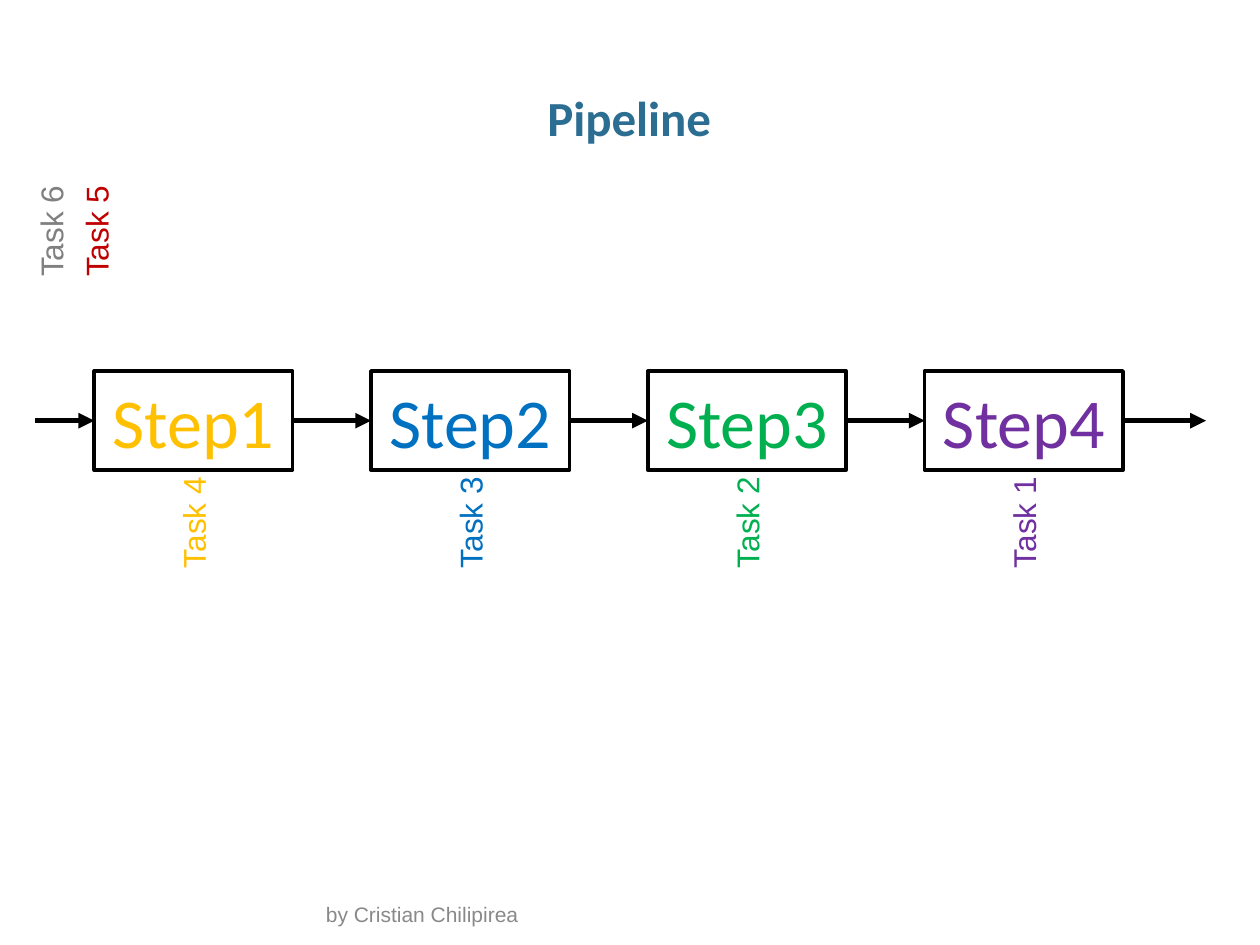
from dataclasses import dataclass

from lxml import etree
from pptx import Presentation
from pptx.dml.color import RGBColor
from pptx.enum.shapes import MSO_CONNECTOR, MSO_SHAPE
from pptx.enum.text import MSO_ANCHOR, MSO_AUTO_SIZE, PP_ALIGN
from pptx.oxml.ns import qn
from pptx.shapes.autoshape import Shape
from pptx.slide import Slide
from pptx.util import Cm, Pt

RECT = MSO_SHAPE.RECTANGLE
LINE = MSO_CONNECTOR.STRAIGHT
MIDDLE, BOTTOM, TOP = MSO_ANCHOR.MIDDLE, MSO_ANCHOR.BOTTOM, MSO_ANCHOR.TOP
LEFT, CENTER = PP_ALIGN.LEFT, PP_ALIGN.CENTER
GROW = MSO_AUTO_SIZE.SHAPE_TO_FIT_TEXT

BLACK = RGBColor(0x00, 0x00, 0x00)
TEAL = RGBColor(0x2C, 0x6D, 0x92)
SILVER = RGBColor(0x89, 0x89, 0x89)
GOLD = RGBColor(0xFF, 0xC0, 0x00)
BLUE = RGBColor(0x00, 0x70, 0xC0)
GREEN = RGBColor(0x00, 0xB0, 0x50)
PURPLE = RGBColor(0x70, 0x30, 0xA0)
RED = RGBColor(0xC0, 0x00, 0x00)
GRAY = RGBColor(0x80, 0x80, 0x80)

STEP_X, STEP_Y, STEP_W, STEP_H = 1.9, 7.48, 4.0, 2.0
PITCH = 5.58
FLOW_Y = STEP_Y + STEP_H / 2
FLOW_START, FLOW_END = 0.71, 24.31
TASK_W, TASK_H = 2.36, 1.02
TASK_Y, QUEUE_Y = 10.52, 4.65


@dataclass(frozen=True)
class Step:
    name: str
    task: str
    color: RGBColor


@dataclass(frozen=True)
class Wait:
    task: str
    x: float
    color: RGBColor


STEPS = (
    Step("Step1", "Task 4", GOLD),
    Step("Step2", "Task 3", BLUE),
    Step("Step3", "Task 2", GREEN),
    Step("Step4", "Task 1", PURPLE),
)
QUEUE = (Wait("Task 5", 1.94, RED), Wait("Task 6", 1.03, GRAY))


def write(shape: Shape, text: str, face: str, size: int, color: RGBColor,
          align: PP_ALIGN = LEFT, anchor: MSO_ANCHOR = TOP,
          wrap: bool = True, bold: bool = False) -> None:
    frame = shape.text_frame
    frame.word_wrap = wrap
    frame.vertical_anchor = anchor
    line = frame.paragraphs[0]
    line.text = text
    line.alignment = align
    font = line.font
    font.name, font.size, font.bold = face, Pt(size), bold
    font.color.rgb = color


def add_step(slide: Slide, step: Step, x: float) -> None:
    box = slide.shapes.add_shape(RECT, Cm(x), Cm(STEP_Y), Cm(STEP_W), Cm(STEP_H))
    box.shadow.inherit = False
    box.fill.background()
    box.line.color.rgb = BLACK
    box.line.width = Pt(2)
    write(box, step.name, "Calibri", 40, step.color, CENTER, MIDDLE)


def add_task(slide: Slide, text: str, x: float, y: float, color: RGBColor) -> None:
    box = slide.shapes.add_textbox(
        Cm(x - TASK_W / 2), Cm(y - TASK_H / 2), Cm(TASK_W), Cm(TASK_H))
    box.rotation = 270
    write(box, text, "Arial", 18, color, wrap=False)
    box.text_frame.auto_size = GROW


def add_arrow(slide: Slide, start: float, end: float) -> None:
    arrow = slide.shapes.add_connector(
        LINE, Cm(start), Cm(FLOW_Y), Cm(end), Cm(FLOW_Y))
    arrow.line.color.rgb = BLACK
    arrow.line.width = Pt(3)
    etree.SubElement(arrow.line._get_or_add_ln(), qn("a:tailEnd"), type="triangle")
    etree.SubElement(arrow._element.spPr, qn("a:effectLst"))


def main() -> None:
    deck = Presentation()
    deck.slide_width, deck.slide_height = Cm(25.4), Cm(19.05)
    slide = deck.slides.add_slide(deck.slide_layouts[6])

    foot = slide.shapes.add_textbox(Cm(6.32), Cm(18.19), Cm(12.75), Cm(0.61))
    write(foot, "by Cristian Chilipirea", "Arial", 12, SILVER, anchor=BOTTOM)

    title = slide.shapes.add_textbox(Cm(0.86), Cm(1.73), Cm(23.65), Cm(1.27))
    write(title, "Pipeline", "Calibri", 28, TEAL, CENTER, bold=True)
    frame = title.text_frame
    frame.margin_left = frame.margin_right = 0
    frame.paragraphs[0].line_spacing = 0.95

    lefts = [STEP_X + i * PITCH for i in range(len(STEPS))]
    for step, x in zip(STEPS, lefts):
        add_step(slide, step, x)

    starts = [FLOW_START] + [x + STEP_W for x in lefts]
    for start, end in zip(starts, lefts + [FLOW_END]):
        add_arrow(slide, start, end)

    for step, x in reversed(list(zip(STEPS, lefts))):
        add_task(slide, step.task, x + STEP_W / 2, TASK_Y, step.color)
    for wait in QUEUE:
        add_task(slide, wait.task, wait.x, QUEUE_Y, wait.color)

    deck.save("out.pptx")


if __name__ == "__main__":
    main()
